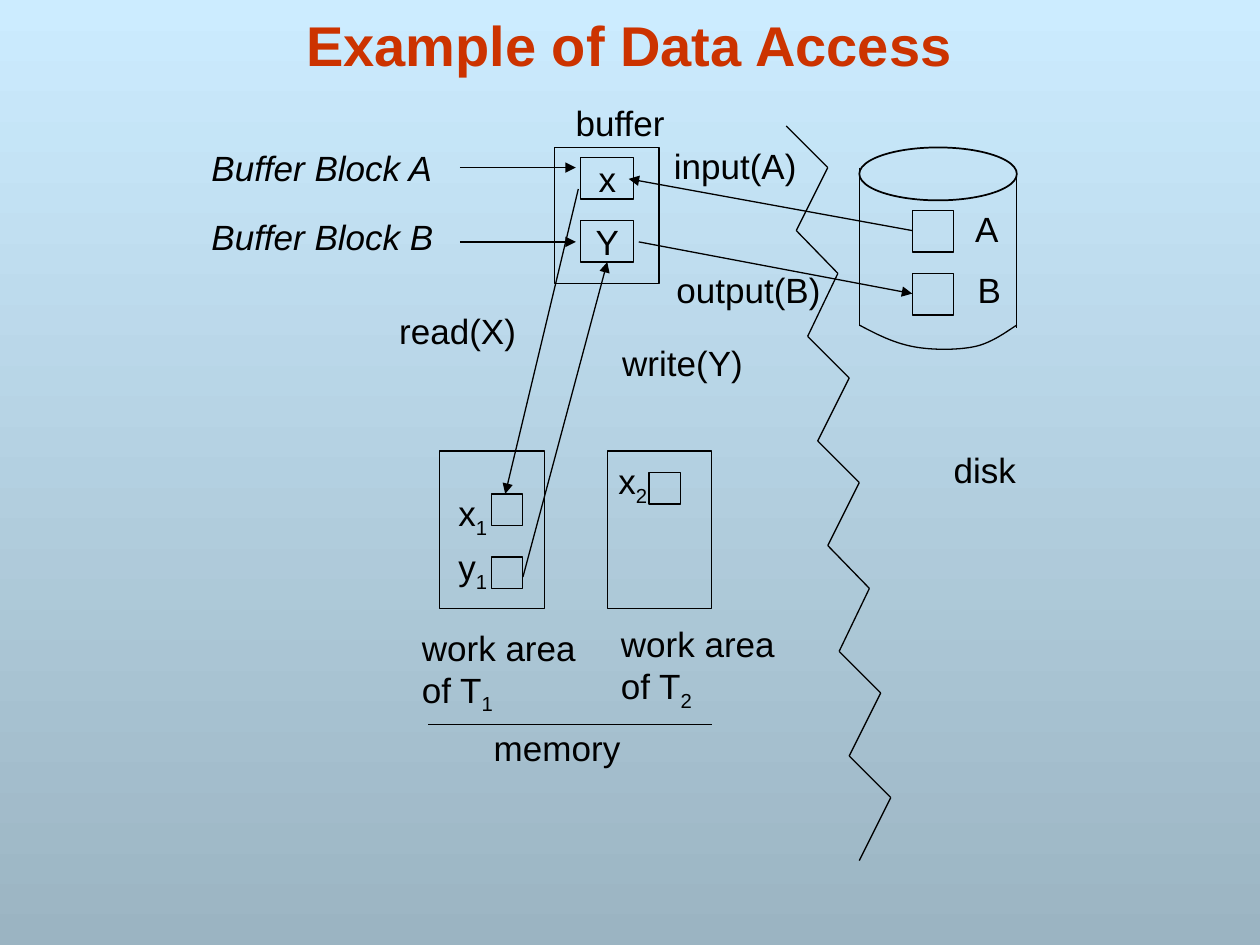
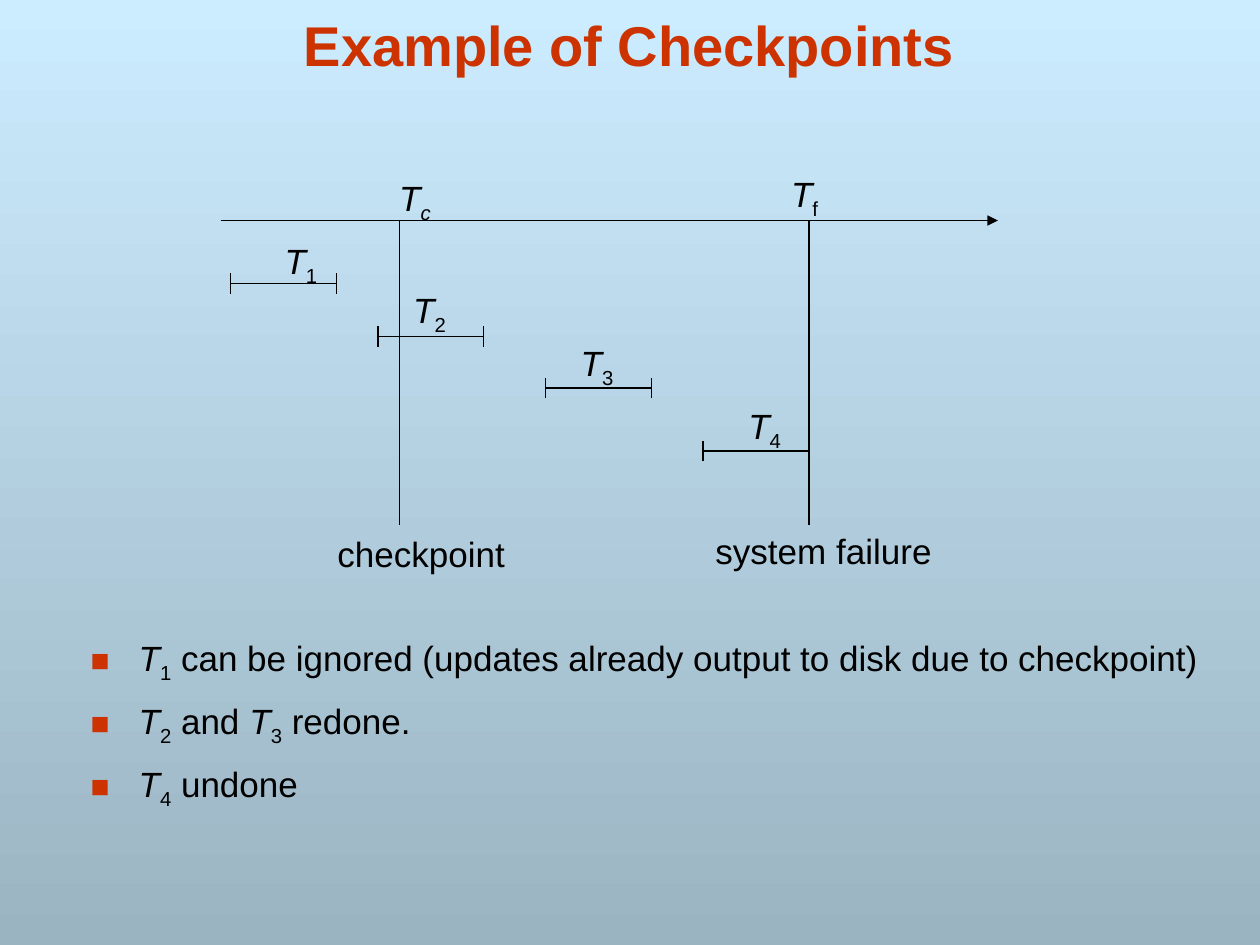
import lxml.etree
import pptx
import pptx.dml.color
import pptx.enum.shapes
import pptx.enum.text
import pptx.oxml.ns
import pptx.util

PX = 9144  # one px is a hundredth of an inch
FONT = "Arial"
BLACK, RED = "000000", "CC3300"
SKY, SLATE = "CCECFF", "9BB4C2"
color = pptx.dml.color.RGBColor.from_string
qn = pptx.oxml.ns.qn
SHAPE = pptx.enum.shapes.MSO_SHAPE
ALIGN = pptx.enum.text.PP_ALIGN
ANCHOR = pptx.enum.text.MSO_ANCHOR
AUTO_SIZE = pptx.enum.text.MSO_AUTO_SIZE


def write_text(frame, text, size=20, fill=BLACK, bold=False, align=ALIGN.LEFT, before=0):
    """Lines become paragraphs; | parts runs, a leading / is italic, _ is subscript."""
    for number, line in enumerate(text.split("\n")):
        paragraph = frame.add_paragraph() if number else frame.paragraphs[0]
        paragraph.alignment = align
        paragraph.space_before = pptx.util.Pt(before)
        for part in line.split("|"):
            words = part.lstrip("/_")
            marks = part[:len(part) - len(words)]
            run = paragraph.add_run()
            run.text = words
            run.font.name = FONT
            run.font.size = pptx.util.Pt(size)
            run.font.bold = bold
            run.font.italic = "/" in marks
            run.font.color.rgb = color(fill)
            if "_" in marks:
                run._r.get_or_add_rPr().set("baseline", "-25000")


def draw_line(slide, start, end, arrow=False):
    connector = slide.shapes.add_connector(
        pptx.enum.shapes.MSO_CONNECTOR.STRAIGHT, *(value * PX for value in (*start, *end)))
    connector.line.color.rgb = color(BLACK)
    connector.line.width = pptx.util.Pt(0.75)
    properties = connector._element.spPr
    if arrow:
        lxml.etree.SubElement(properties.find(qn("a:ln")), qn("a:tailEnd"), type="triangle")
    lxml.etree.SubElement(properties, qn("a:effectLst"))


presentation = pptx.Presentation()
presentation.slide_width = 1000 * PX
presentation.slide_height = 750 * PX

# Shared background
background = presentation.slide_master.background.fill
background.gradient()
background.gradient_angle = 270
for stop, shade in zip(background.gradient_stops, (SKY, SLATE)):
    stop.color.rgb = color(shade)

access_slide = presentation.slides.add_slide(presentation.slide_layouts[5])
checkpoint_slide = presentation.slides.add_slide(presentation.slide_layouts[1])

# Titles
for slide, heading in ((access_slide, "Example of Data Access"),
                       (checkpoint_slide, "Example of Checkpoints")):
    title = slide.shapes.title
    title.left, title.top, title.width, title.height = 58 * PX, 0, 883 * PX, 67 * PX
    title.text_frame.auto_size = AUTO_SIZE.NONE
    title.text_frame.vertical_anchor = ANCHOR.BOTTOM
    write_text(title.text_frame, heading, size=32, fill=RED, bold=True, align=ALIGN.CENTER)

# Data access: buffer, disk blocks, work areas and their variables
outlines = [
    (SHAPE.RECTANGLE, 440, 117, 83, 108, ""),
    (SHAPE.RECTANGLE, 461, 125, 42, 33, "x"),
    (SHAPE.RECTANGLE, 461, 175, 42, 33, "Y"),
    (SHAPE.OVAL, 682, 117, 125, 42, ""),
    (SHAPE.RECTANGLE, 724, 167, 33, 33, ""),
    (SHAPE.RECTANGLE, 724, 217, 33, 33, ""),
    (SHAPE.RECTANGLE, 349, 358, 83, 125, ""),
    (SHAPE.RECTANGLE, 482, 358, 83, 125, ""),
    (SHAPE.RECTANGLE, 515, 375, 25, 25, ""),
    (SHAPE.RECTANGLE, 390, 392, 25, 25, ""),
    (SHAPE.RECTANGLE, 390, 442, 25, 25, ""),
]
for kind, left, top, width, height, text in outlines:
    shape = access_slide.shapes.add_shape(kind, left * PX, top * PX, width * PX, height * PX)
    shape.shadow.inherit = False
    shape.fill.background()
    shape.line.color.rgb = color(BLACK)
    shape.line.width = pptx.util.Pt(1 if kind == SHAPE.OVAL else 0.75)
    if text:
        shape.text_frame.word_wrap = False
        shape.text_frame.vertical_anchor = ANCHOR.MIDDLE
        write_text(shape.text_frame, text, align=ALIGN.CENTER)

# Disk sides and curved base
draw_line(access_slide, (682, 133), (682, 258))
draw_line(access_slide, (807, 135), (807, 260))
base_curves = [
    ((682, 258), (695, 265), (709, 272), (724, 275)),
    ((724, 275), (739, 278), (760, 278), (774, 275)),
    ((774, 275), (788, 272), (802, 261), (807, 258)),
]
base_points = []
for curve in base_curves:
    for step in range(1, 13):
        t = step / 12
        weights = ((1 - t) ** 3, 3 * t * (1 - t) ** 2, 3 * t * t * (1 - t), t ** 3)
        base_points.append(tuple(
            round(PX * sum(weight * point[axis] for weight, point in zip(weights, curve)))
            for axis in (0, 1)))
builder = access_slide.shapes.build_freeform(682 * PX, 258 * PX)
builder.add_line_segments(base_points, close=False)
disk_base = builder.convert_to_shape()
disk_base.shadow.inherit = False
disk_base.fill.background()
disk_base.line.color.rgb = color(BLACK)
disk_base.line.width = pptx.util.Pt(0.75)

# Data movements and the memory rule
for start, end in (((365, 133), (457, 133)), ((365, 192), (457, 192)),
                   ((724, 183), (499, 142)), ((507, 192), (724, 233)),
                   ((459, 150), (401, 392)), ((415, 458), (482, 208))):
    draw_line(access_slide, start, end, arrow=True)
draw_line(access_slide, (340, 575), (565, 575))

# Zigzag border between memory and disk
zigzag = [(round(624 + 25 / 3 * (step // 2) + 33 * (step % 2)),
           round(100 + 250 / 3 * (step // 2) + 100 / 3 * (step % 2))) for step in range(15)]
for start, end in zip(zigzag, zigzag[1:]):
    draw_line(access_slide, start, end)

# Checkpoints: time axis, checkpoint and failure moments
draw_line(checkpoint_slide, (175, 175), (792, 175), arrow=True)
for moment in (317, 642):
    draw_line(checkpoint_slide, (moment, 175), (moment, 417))

# Transaction spans with end ticks
for left, middle in ((183, 225), (300, 267), (433, 308), (558, 358)):
    right = left + 84
    draw_line(checkpoint_slide, (left, middle), (right, middle))
    for end in (left, right):
        draw_line(checkpoint_slide, (end, middle - 8), (end, middle + 8))

# Labels: left, top, width, text
access_labels = [
    (764, 160, 42, "A"), (766, 208, 42, "B"),
    (354, 385, 47, "x|_1"), (354, 428, 47, "y|_1"), (481, 360, 47, "x|_2"),
    (447, 76, 95, "buffer"),
    (158, 111, 204, "/Buffer Block A"), (158, 166, 204, "/Buffer Block B"),
    (525, 110, 122, "input(A)"), (527, 208, 142, "output(B)"),
    (307, 241, 117, "read(X)"), (484, 266, 120, "write(Y)"),
    (747, 351, 74, "disk"), (382, 572, 125, "memory"),
    (325, 492, 150, "work area\nof T|_1"), (483, 489, 146, "work area\nof T|_2"),
]
checkpoint_labels = [
    (307, 135, 49, "/T|/_c"), (618, 132, 46, "/T|_f"),
    (216, 185, 49, "/T|_1"), (318, 224, 49, "/T|_2"),
    (451, 266, 49, "/T|_3"), (584, 316, 49, "/T|_4"),
    (258, 418, 158, "checkpoint"), (558, 415, 196, "system failure"),
]
for slide, labels in ((access_slide, access_labels), (checkpoint_slide, checkpoint_labels)):
    for left, top, width, text in labels:
        height = 82 if "\n" in text else 48 if "_" in text else 44
        label = slide.shapes.add_textbox(left * PX, top * PX, width * PX, height * PX)
        label.text_frame.word_wrap = False
        label.text_frame.auto_size = AUTO_SIZE.SHAPE_TO_FIT_TEXT
        write_text(label.text_frame, text)

# Bulleted outcome of each transaction, below the diagram
body = checkpoint_slide.placeholders[1]
body.left, body.top, body.width, body.height = 62 * PX, 136 * PX, 904 * PX, 547 * PX
body.text_frame.auto_size = AUTO_SIZE.NONE
body.text_frame.margin_top = 369 * PX
write_text(body.text_frame,
           "/T|_1| can be ignored (updates already output to disk due to checkpoint)\n"
           "/T|_2| and |/T|_3| redone.\n"
           "/T|_4| undone", before=8.8)
for paragraph in body.text_frame.paragraphs:
    properties = paragraph._p.get_or_add_pPr()
    properties.set("marL", str(38 * PX))
    properties.set("indent", str(-38 * PX))
    bullet_color = lxml.etree.SubElement(properties, qn("a:buClr"))
    lxml.etree.SubElement(bullet_color, qn("a:srgbClr"), val=RED)
    lxml.etree.SubElement(properties, qn("a:buSzPct"), val="90000")
    lxml.etree.SubElement(properties, qn("a:buFont"), typeface=FONT)
    lxml.etree.SubElement(properties, qn("a:buChar"), char="■")

presentation.save("out.pptx")
